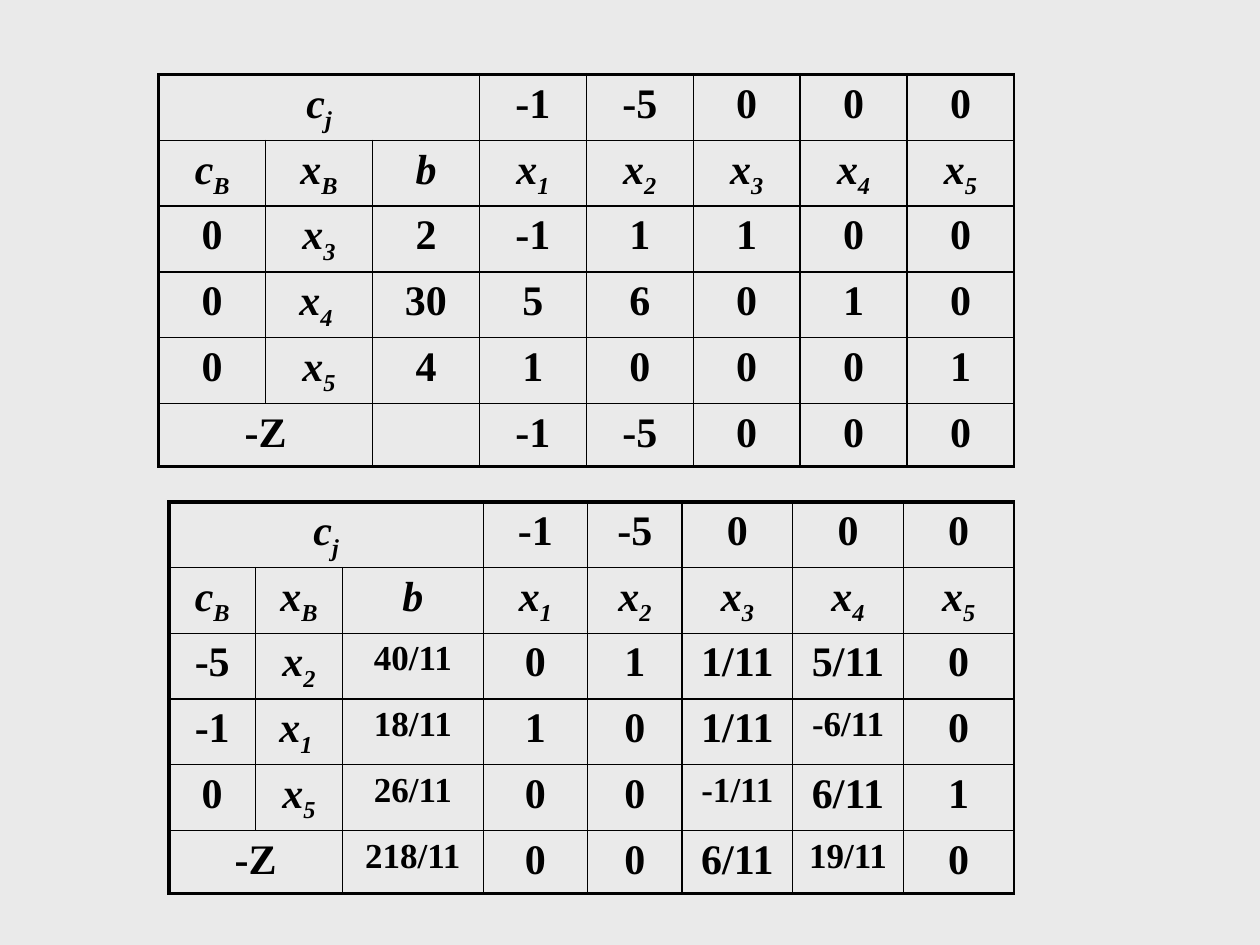
from itertools import product

from lxml.etree import SubElement
from pptx import Presentation
from pptx.dml.color import RGBColor
from pptx.enum.text import PP_ALIGN
from pptx.oxml.ns import qn
from pptx.util import Inches, Pt

COLORS = {"background": "EAEAEA", "ink": "000000"}
SIZE = (10, 7.5)
THICK, THIN = 2.25, 1
HEADING = [
    ["c_j", "", "", "-1", "-5", "0", "0", "0"],
    ["c_B", "x_B", "b", "x_1", "x_2", "x_3", "x_4", "x_5"],
]
INITIAL = HEADING + [
    ["0", "x_3", "2", "-1", "1", "1", "0", "0"],
    ["0", "x_4 ", "30", "5", "6", "0", "1", "0"],
    ["0", "x_5", "4", "1", "0", "0", "0", "1"],
    ["-Z", "", "", "-1", "-5", "0", "0", "0"],
]
FINAL = HEADING + [
    ["-5", "x_2", "40/11", "0", "1", "1/11", "5/11", "0"],
    ["-1", "x_1 ", "18/11", "1", "0", "1/11", "-6/11", "0"],
    ["0", "x_5", "26/11", "0", "0", "-1/11", "6/11", "1"],
    ["-Z", "", "218/11", "0", "0", "6/11", "19/11", "0"],
]
TABLEAUS = [
    {"box": (0.126, 0.079, 0.679, 0.4), "weights": [1] * 8, "rows": INITIAL},
    {
        "box": (0.134, 0.531, 0.671, 0.4),
        "weights": [0.69, 0.69, 1.12, 0.83, 0.75, 0.88, 0.88, 0.88],
        "rows": FINAL,
    },
]


def write_entry(cell, entry):
    """Write a number, or a symbol whose index follows an underscore."""
    para = cell.text_frame.paragraphs[0]
    para.alignment = PP_ALIGN.CENTER
    symbol, _, index = entry.partition("_")
    style = {
        "name": "Times New Roman",
        "size": Pt(20 if len(entry) >= 5 else 24),
        "bold": True,
        "italic": bool(index) or symbol == "b",
    }
    for text, baseline in ((symbol, 0), (index, -25000)):
        if not text:
            continue
        span = para.add_run()
        span.text = text
        for name, value in style.items():
            setattr(span.font, name, value)
        span.font.color.rgb = RGBColor.from_string(COLORS["ink"])
        if baseline:
            span.font._element.set("baseline", str(baseline))


def draw_borders(cell, widths):
    """Draw the cell's borders from a dict of side and width in points."""
    properties = cell._tc.get_or_add_tcPr()
    for position, (side, width) in enumerate(widths.items()):
        line = SubElement(properties, qn(f"a:ln{side}"), w=str(Pt(width)))
        fill = SubElement(line, qn("a:solidFill"))
        SubElement(fill, qn("a:srgbClr"), val=COLORS["ink"])
        properties.insert(position, line)


def add_tableau(page, box, weights, rows):
    """Place a simplex tableau in a box given as shares of the slide."""
    left, top, width, height = (
        Inches(share * SIZE[i % 2]) for i, share in enumerate(box)
    )
    last_row, columns = len(rows) - 1, len(weights)
    table = page.shapes.add_table(
        len(rows), columns, left, top, width, height
    ).table
    table.first_row = table.horz_banding = False
    for column, weight in zip(table.columns, weights):
        column.width = int(width * weight / sum(weights))
    table.cell(0, 0).merge(table.cell(0, 2))
    table.cell(last_row, 0).merge(table.cell(last_row, 1))
    for r, c in product(range(len(rows)), range(columns)):
        cell = table.cell(r, c)
        cell.fill.background()
        draw_borders(cell, {
            "L": THICK if c == 0 else THIN,
            "R": THIN,
            "T": THICK if r == 0 else THIN,
            "B": THICK if r == last_row else THIN,
        })
        if rows[r][c]:
            write_entry(cell, rows[r][c])


def main():
    """Build the slide with both tableaus and save it."""
    deck = Presentation()
    deck.slide_width, deck.slide_height = map(Inches, SIZE)
    page = deck.slides.add_slide(deck.slide_layouts[6])
    page.background.fill.solid()
    page.background.fill.fore_color.rgb = RGBColor.from_string(
        COLORS["background"]
    )
    for tableau in TABLEAUS:
        add_tableau(page, **tableau)
    deck.save("out.pptx")


if __name__ == "__main__":
    main()
